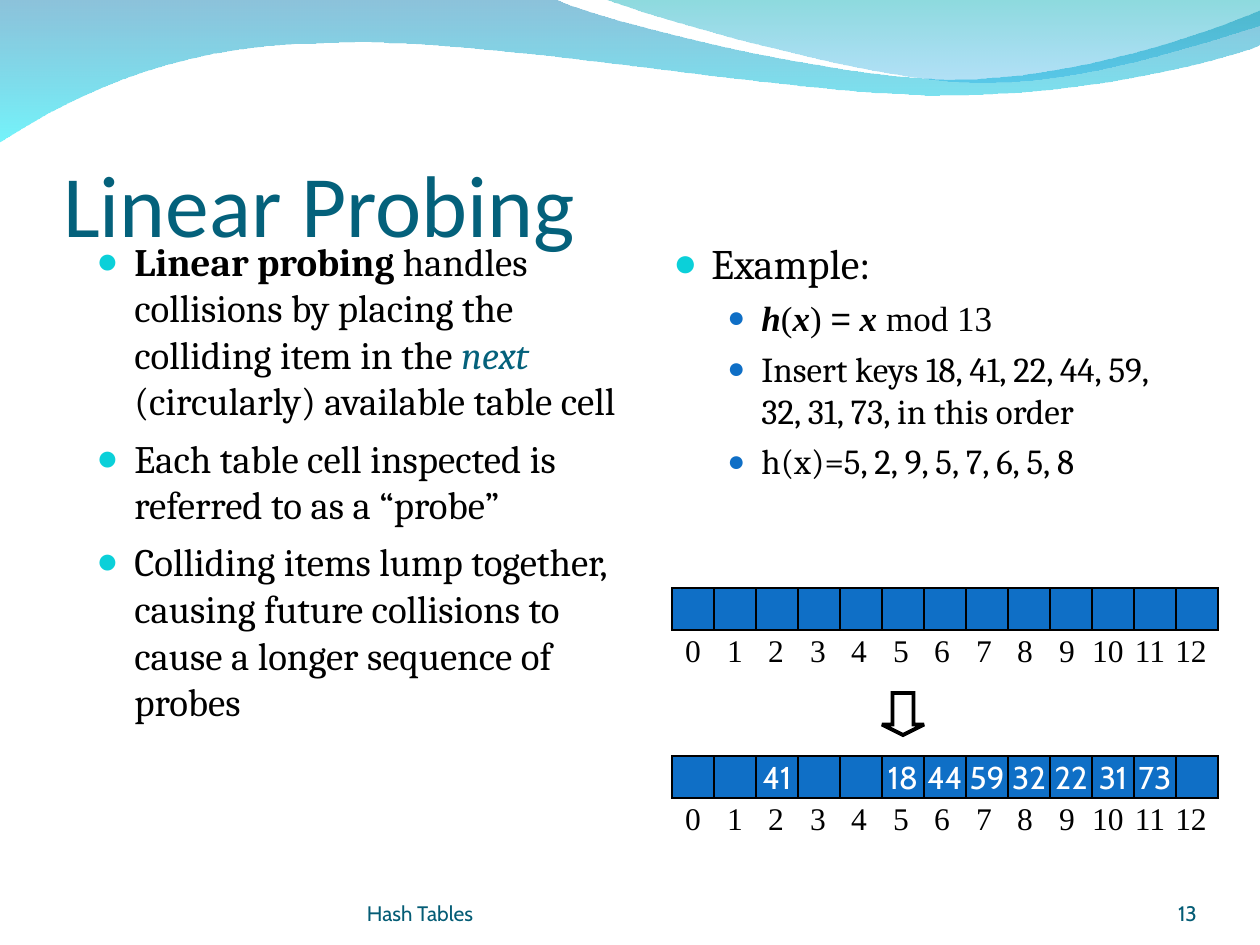
from dataclasses import dataclass
from typing import NamedTuple

from lxml import etree
from pptx import Presentation
from pptx.dml.color import RGBColor
from pptx.enum.shapes import MSO_SHAPE
from pptx.enum.text import MSO_ANCHOR, MSO_AUTO_SIZE, PP_ALIGN
from pptx.oxml.ns import qn
from pptx.util import Emu, Pt

PX = 914400 / 126
RECT, DOWN_ARROW = MSO_SHAPE.RECTANGLE, MSO_SHAPE.DOWN_ARROW
TOP, MIDDLE, BOTTOM = MSO_ANCHOR.TOP, MSO_ANCHOR.MIDDLE, MSO_ANCHOR.BOTTOM
LEFT, CENTER, RIGHT = PP_ALIGN.LEFT, PP_ALIGN.CENTER, PP_ALIGN.RIGHT


@dataclass(frozen=True)
class Theme:
    black: str = "000000"
    white: str = "FFFFFF"
    teal: str = "04617B"
    footer: str = "045C75"
    cell: str = "0F6FC6"
    bullets: tuple = ("0BD0D9", "0F6FC6")
    title_size: float = 50
    explanation_size: float = 22.2
    example_size: float = 24
    detail_size: float = 20
    cell_size: float = 18
    footer_size: float = 12
    heading_font: str = "Calibri"
    body_font: str = "Cambria"
    math_font: str = "Times New Roman"
    sign_font: str = "Arial"
    ui_font: str = "Cabin"


THEME = Theme()


class Box(NamedTuple):
    left: int
    top: int
    width: int
    height: int


class Span(NamedTuple):
    text: str
    size: float
    font: str = THEME.body_font
    color: str = THEME.black
    style: dict = {}


class Stop(NamedTuple):
    color: str
    alpha: int


@dataclass
class Para:
    spans: list[Span]
    level: int | None = None  # None means no bullet
    align: PP_ALIGN = LEFT


@dataclass
class Wave:
    start: tuple[int, int]
    segments: list[tuple]  # one point is a line, three are a Bézier curve
    stops: list[Stop]


class BulletStyle(NamedTuple):
    margin: int
    hanging: int
    percent: int
    before: int


BULLETS = (BulletStyle(38, 38, 95, 6), BulletStyle(88, 34, 85, 5))


def px(value: int) -> Emu:
    return Emu(round(value * PX))


def apply(target, values: dict) -> None:
    for name, value in values.items():
        setattr(target, name, value)


def set_bullet(paragraph, level: int) -> None:
    style = BULLETS[level]
    props = paragraph._p.get_or_add_pPr()
    props.set("marL", str(px(style.margin)))
    props.set("indent", str(-px(style.hanging)))
    color = etree.SubElement(props, qn("a:buClr"))
    etree.SubElement(color, qn("a:srgbClr"), val=THEME.bullets[level])
    etree.SubElement(props, qn("a:buSzPct"), val=str(style.percent * 1000))
    etree.SubElement(props, qn("a:buFont"), typeface=THEME.sign_font)
    etree.SubElement(props, qn("a:buChar"), char="●")


def write(shape, paras: list[Para], margins=(0, 0, 0, 0), anchor=TOP, wrap=True) -> None:
    frame = shape.text_frame
    sides = ("margin_left", "margin_top", "margin_right", "margin_bottom")
    apply(frame, {side: Pt(points) for side, points in zip(sides, margins)})
    apply(frame, {"auto_size": MSO_AUTO_SIZE.NONE, "word_wrap": wrap, "vertical_anchor": anchor})
    for index, para in enumerate(paras):
        paragraph = frame.add_paragraph() if index else frame.paragraphs[0]
        if para.level is not None:
            set_bullet(paragraph, para.level)
            paragraph.level = para.level
            paragraph.space_before = Pt(BULLETS[para.level].before if index else 0)
        paragraph.alignment = para.align
        for span in para.spans:
            run = paragraph.add_run()
            run.text = span.text
            apply(run.font, {"size": Pt(span.size), "name": span.font, **span.style})
            run.font.color.rgb = RGBColor.from_string(span.color)


def add_text(slide, box: Box, paras: list[Para], **layout) -> None:
    write(slide.shapes.add_textbox(*map(px, box)), paras, **layout)


def add_shape(slide, kind, box: Box, line_width: float, fill: str | None = None):
    shape = slide.shapes.add_shape(kind, *map(px, box))
    shape.shadow.inherit = False
    if fill:
        shape.fill.solid()
        shape.fill.fore_color.rgb = RGBColor.from_string(fill)
    else:
        shape.fill.background()
    shape.line.color.rgb = RGBColor.from_string(THEME.black)
    shape.line.width = Pt(line_width)
    etree.SubElement(shape.element.spPr.find(qn("a:ln")), qn("a:miter"), lim="800000")
    return shape


def bend(shape, segments: list[tuple]) -> None:
    """Turn each run of three straight steps that forms a segment into one Bézier curve."""
    steps = iter(list(shape.element.iter(qn("a:lnTo"))))
    for segment in segments:
        lines = [next(steps) for _ in segment]
        if len(lines) == 3:
            cubic = etree.Element(qn("a:cubicBezTo"))
            lines[0].addprevious(cubic)
            for line in lines:
                cubic.append(line[0])
                line.getparent().remove(line)


def add_wave(slide, wave: Wave) -> None:
    builder = slide.shapes.build_freeform(*map(px, wave.start), scale=1.0)
    points = [(px(x), px(y)) for segment in wave.segments for x, y in segment]
    builder.add_line_segments(points, close=True)
    shape = builder.convert_to_shape()
    bend(shape, wave.segments)
    shape.shadow.inherit = False
    shape.line.fill.background()
    shape.fill.gradient()
    shape.fill.gradient_angle = 270
    for gradient_stop, stop in zip(shape.fill.gradient_stops, wave.stops):
        gradient_stop.color.rgb = RGBColor.from_string(stop.color)
    for color, stop in zip(shape.element.spPr.iter(qn("a:srgbClr")), wave.stops):
        etree.SubElement(color, qn("a:alpha"), val=str(stop.alpha * 1000))


def add_hash_table(slide, top: int, keys: dict[int, int], slots: int = 13, side: int = 42) -> None:
    for slot in range(slots):
        cell = add_shape(slide, RECT, Box(672 + slot * side, top, side, side), 1.5, THEME.cell)
        if slot in keys:
            key = Span(str(keys[slot]), THEME.cell_size, THEME.ui_font, THEME.white)
            write(cell, [Para([key], align=CENTER)], INSETS, MIDDLE, wrap=False)
    for slot in range(slots):
        width = 40 if slot < 10 else 56
        center = 693 + (slot * 83 + 1) // 2
        number = Span(str(slot), THEME.cell_size, THEME.math_font)
        add_text(slide, Box(center - width // 2, top + 37, width, 50),
                 [Para([number], align=CENTER)], margins=INSETS, wrap=False)


INSETS = (7.2, 3.6, 7.2, 3.6)
BOLD, ITALIC = {"bold": True}, {"italic": True}
WAVES = [
    Wave((0, -1), [((554, -1),), ((600, 21), (837, 79), (955, 79)),
                   ((1075, 79), (1207, 33), (1260, 11)), ((1261, 45),),
                   ((1239, 55), (1096, 96), (940, 95)), ((783, 95), (481, 35), (324, 43)),
                   ((163, 44), (58, 105), (-1, 142))],
         [Stop("0079AF", 45), Stop("00EBF8", 55)]),
    Wave((604, -1), [((641, 14), (859, 78), (969, 82)),
                     ((1079, 87), (1211, 40), (1260, 26)), ((1260, 0),)],
         [Stop("00ADB6", 45), Stop("009BE5", 30)]),
]
BODY, DETAIL = THEME.explanation_size, THEME.detail_size
EXPLANATION = [
    Para([Span("Linear probing", BODY, style=BOLD),
          Span(" handles collisions by placing the colliding item in the ", BODY),
          Span("next ", BODY, color=THEME.teal, style=ITALIC),
          Span("(circularly) available table cell", BODY)], 0),
    Para([Span("Each table cell inspected is referred to as a “probe”", BODY)], 0),
    Para([Span("Colliding items lump together, causing future collisions to cause "
               "a longer sequence of probes", BODY)], 0),
]
FORMULA = [Span(text, DETAIL, font, style=style) for text, font, style in (
    ("h", THEME.math_font, BOLD | ITALIC), ("(", THEME.math_font, {}),
    ("x", THEME.math_font, BOLD | ITALIC), (") ", THEME.math_font, {}),
    ("=", THEME.sign_font, {}), (" x ", THEME.math_font, BOLD | ITALIC),
    ("mod 13", THEME.math_font, {}))]
EXAMPLE = [
    Para([Span("Example:", THEME.example_size)], 0),
    Para(FORMULA, 1),
    Para([Span("Insert keys 18, 41, 22, 44, 59, 32, 31, 73, in this order", DETAIL)], 1),
    Para([Span("h(x)=5, 2, 9, 5, 7, 6, 5, 8", DETAIL)], 1),
]
PROBED_KEYS = {2: 41, 5: 18, 6: 44, 7: 59, 8: 32, 9: 22, 10: 31, 11: 73}


def main() -> None:
    deck = Presentation()
    apply(deck, {"slide_width": px(1260), "slide_height": px(945)})
    slide = deck.slides.add_slide(deck.slide_layouts[5])

    # Wave banner
    for wave in WAVES:
        add_wave(slide, wave)

    # Title and body columns
    title = slide.shapes.title
    apply(title, dict(zip(Box._fields, map(px, Box(63, 97, 1134, 158)))))
    heading = Span("Linear Probing", THEME.title_size, THEME.heading_font, THEME.teal)
    write(title, [Para([heading])], (0, 3.6, 0, 0), BOTTOM)
    add_text(slide, Box(84, 231, 567, 630), EXPLANATION, margins=INSETS)
    add_text(slide, Box(661, 231, 525, 305), EXAMPLE, margins=INSETS)

    # Footer and page number
    for text, box, align in (("Hash Tables", Box(367, 876, 462, 50), LEFT),
                             ("13", Box(1092, 876, 105, 50), RIGHT)):
        span = Span(text, THEME.footer_size, THEME.ui_font, THEME.footer)
        add_text(slide, box, [Para([span], align=align)], anchor=BOTTOM)

    # Hash table before and after the insertions
    add_hash_table(slide, 588, {})
    add_hash_table(slide, 756, PROBED_KEYS)
    add_shape(slide, DOWN_ARROW, Box(882, 693, 42, 42), 2.25).adjustments[1] = 0.25

    deck.save("out.pptx")


if __name__ == "__main__":
    main()
